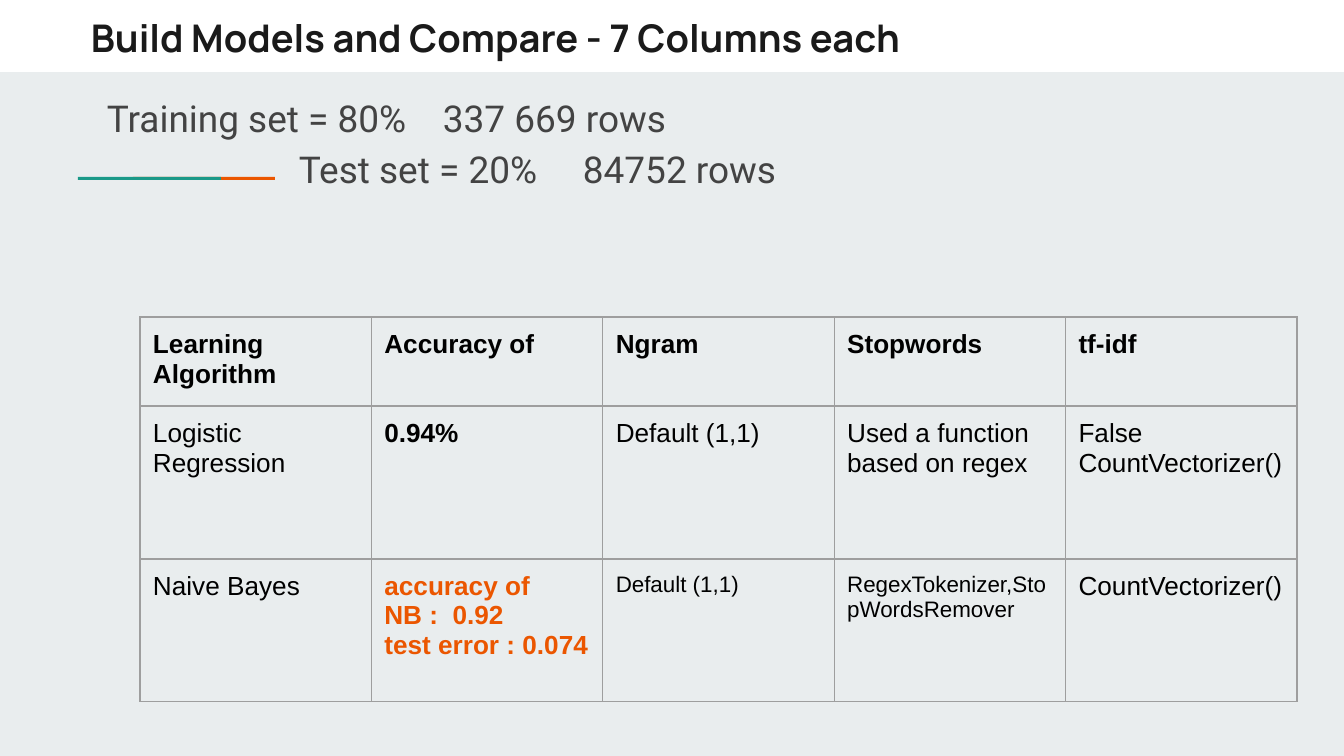
"""Build a slide comparing two text classification models in a table."""
from lxml.etree import SubElement
from pptx import Presentation
from pptx.dml.color import RGBColor
from pptx.enum.shapes import MSO_SHAPE as Shape
from pptx.enum.text import MSO_ANCHOR as Anchor, PP_ALIGN as Align
from pptx.oxml.ns import qn
from pptx.util import Pt

THEME = {
    "background": "E9EDEE", "band": "FFFFFF", "teal": "1A9988", "orange": "EB5600",
    "title": "1A1A1A", "body": "434343", "cell": "000000", "border": "9E9E9E",
    "title_size": 20.4, "body_size": 19.8, "cell_size": 14, "small_size": 12,
    "title_font": "Manrope", "body_font": "Roboto", "cell_font": "Arial",
    "border_width": 0.75,
}
EMU_PER_PX = 914400 / 134.4
INSET = 13


def px(length):
    """Turn px into EMU."""
    return round(length * EMU_PER_PX)


def write_text(frame, text, role, color=None, size=None, bold=False):
    """Fill a text frame with one paragraph per line, set in the role's style."""
    frame.text = text
    frame.word_wrap = True
    font_values = {"name": THEME[f"{role}_font"], "bold": bold,
                   "size": Pt(THEME[size or f"{role}_size"])}
    for paragraph in frame.paragraphs:
        paragraph.alignment = Align.LEFT
        for run in paragraph.runs:
            for name, value in font_values.items():
                setattr(run.font, name, value)
            run.font.color.rgb = RGBColor.from_string(THEME[color or role])


presentation = Presentation()
presentation.slide_width, presentation.slide_height = px(1344), px(756)
slide = presentation.slides.add_slide(presentation.slide_layouts[6])
slide.background.fill.solid()
slide.background.fill.fore_color.rgb = RGBColor.from_string(THEME["background"])

for color, *box in [
    ("band", 0, 0, 1344, 72),
    ("orange", 133, 177, 142, 3),
    ("teal", 78, 177, 143, 3),
]:
    shape = slide.shapes.add_shape(Shape.RECTANGLE, *map(px, box))
    shape.shadow.inherit = False
    shape.fill.solid()
    shape.fill.fore_color.rgb = RGBColor.from_string(THEME[color])
    shape.line.fill.background()

margins = {f"margin_{side}": px(INSET) for side in ("left", "top", "right", "bottom")}
frames = {}
for role, text, bold, *box in [
    ("title", "Build Models and Compare - 7 Columns each", True, 78, 1, 895, 63),
    ("body", "Training set = 80%\t337 669 rows\n\tTest set = 20%\t84752 rows",
     False, 94, 76, 1157, 306),
]:
    frame = slide.shapes.add_textbox(*map(px, box)).text_frame
    write_text(frame, text, role, bold=bold)
    for name, value in {**margins, "vertical_anchor": Anchor.TOP}.items():
        setattr(frame, name, value)
    frames[role] = frame

for paragraph, stops in zip(frames["body"].paragraphs, [(336,), (192, 476)]):
    paragraph.line_spacing = 1.15
    tab_list = SubElement(paragraph._p.get_or_add_pPr(), qn("a:tabLst"))
    for stop in stops:
        SubElement(tab_list, qn("a:tab"), pos=str(px(stop)), algn="l")

bold = {"bold": True}
small = {"size": "small_size"}
score = {"bold": True, "color": "orange"}
rows = [
    (89, [("Learning Algorithm", bold), ("Accuracy of", bold), ("Ngram", bold),
          ("Stopwords", bold), ("tf-idf", bold)]),
    (153, [("Logistic Regression", {}), ("0.94%", bold), ("Default (1,1)", {}),
           ("Used a function based on regex", {}), ("False\nCountVectorizer()", {})]),
    (143, [("Naive Bayes", {}),
           ("accuracy of\nNB :  0.92\ntest error : 0.074", score),
           ("Default (1,1)", small), ("RegexTokenizer,StopWordsRemover", small),
           ("CountVectorizer()", {})]),
]
table_height = sum(height for height, _ in rows)
table = slide.shapes.add_table(
    len(rows), 5, px(140), px(317), px(1157), px(table_height)).table
table.first_row = table.horz_banding = False

for table_row, (height, cells) in zip(table.rows, rows):
    table_row.height = px(height)
    for cell, (text, style) in zip(table_row.cells, cells):
        write_text(cell.text_frame, text, "cell", **style)
        for name, value in {**margins, "vertical_anchor": Anchor.TOP}.items():
            setattr(cell, name, value)
        properties = cell._tc.get_or_add_tcPr()
        for edge in ("lnL", "lnR", "lnT", "lnB"):
            line = SubElement(properties, qn(f"a:{edge}"),
                              w=str(Pt(THEME["border_width"])))
            fill = SubElement(line, qn("a:solidFill"))
            SubElement(fill, qn("a:srgbClr"), val=THEME["border"])
        cell.fill.background()

presentation.save("out.pptx")
